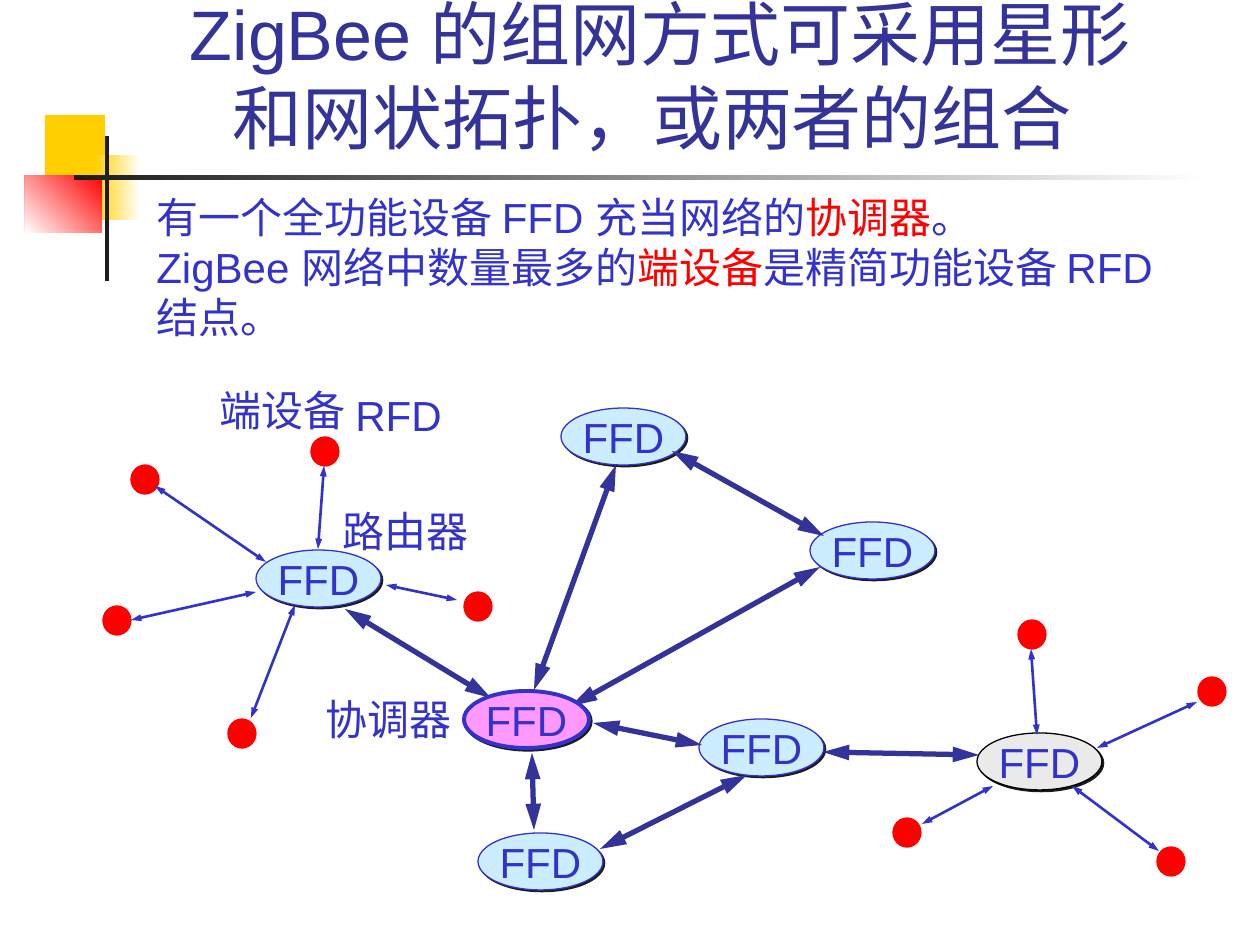
import pptx
import pptx.util
import pptx.dml.color
import pptx.enum.shapes
import pptx.enum.text
import pptx.oxml
import pptx.oxml.ns

EMU_PER_PX = 914400 / 126
SLIDE = (1260, 945)
NODE_SIZE = (125, 57)
DOT_SIZE = (28, 29)

COLORS = {
    "navy": "333399", "blue": "3333CC", "red": "FF0000", "gold": "FFCF01",
    "ink": "1C1C1C", "white": "FFFFFF", "sky": "CCECFF", "pink": "FF99FF",
    "gray": "EAEAEA", "black": "000000",
}

DECOR = [
    ((45, 115, 60, 65), ("gold",), 0),
    ((95, 155, 45, 65), ("white", "gold"), 180),
    ((25, 175, 77, 58), ("red", "white"), 225),
    ((105, 136, 4, 145), ("ink",), 0),
    ((74, 175, 1134, 5), ("white", "ink"), 180),
]

TITLE = [[("ZigBee 的组网方式可采用星形和网状拓扑，或两者的组合 ", "navy", "Arial")]]
BODY = [
    [("有一个全功能设备 FFD 充当", "blue", "Arial"), ("网络的", "blue", "Cabin"),
     ("协调器", "red", "Cabin"), ("。", "blue", "Cabin")],
    [("ZigBee 网络中数量最多的", "blue", "Arial"), ("端设备", "red", "Arial"),
     ("是精简功能设备 RFD 结点。", "blue", "Arial")],
]
LABELS = [
    ("RFD", (343, 383, 116, 63)),
    ("端设备", (207, 378, 155, 63)),
    ("路由器", (330, 499, 155, 63)),
    ("协调器", (313, 687, 155, 63)),
]

DOTS = [(311, 437), (1157, 847), (893, 818), (1198, 677), (1018, 620),
        (131, 465), (103, 606), (228, 719), (464, 592)]
NODES = [
    (256, 550, "sky", "blue", 0.75),
    (478, 833, "sky", "blue", 0.75),
    (810, 522, "sky", "blue", 0.75),
    (561, 408, "sky", "blue", 0.75),
    (977, 733, "gray", "black", 0.75),
    (699, 719, "sky", "blue", 0.75),
]
COORDINATOR = (464, 691, "pink", "blue", 2.25)

MESH_LINKS = [
    (616, 465, 534, 690), (345, 609, 491, 698), (672, 451, 824, 536),
    (820, 567, 571, 706), (532, 753, 534, 830), (702, 745, 593, 723),
    (979, 755, 823, 752), (747, 775, 600, 849),
]
STAR_LINKS = [
    (155, 486, 266, 562), (386, 585, 457, 600), (324, 466, 318, 549),
    (131, 620, 256, 592), (1197, 702, 1097, 748), (1031, 649, 1037, 735),
    (295, 605, 251, 718), (1072, 786, 1159, 851), (993, 786, 922, 824),
]

SHAPES = pptx.enum.shapes.MSO_SHAPE
ALIGN = pptx.enum.text.PP_ALIGN
ANCHOR = pptx.enum.text.MSO_ANCHOR
FIT = pptx.enum.text.MSO_AUTO_SIZE


def px(*values):
    return [pptx.util.Emu(round(v * EMU_PER_PX)) for v in values]


def rgb(name):
    return pptx.dml.color.RGBColor.from_string(COLORS[name])


def write(tf, paragraphs, size, align=ALIGN.LEFT, wrap=True, anchor=ANCHOR.TOP, fit=FIT.NONE):
    tf.word_wrap = wrap
    tf.auto_size = fit
    tf.vertical_anchor = anchor
    for i, runs in enumerate(paragraphs):
        p = tf.add_paragraph() if i else tf.paragraphs[0]
        p.alignment = align
        for text, color, font in runs:
            r = p.add_run()
            r.text = text
            r.font.size = pptx.util.Pt(size)
            r.font.name = font
            r.font.color.rgb = rgb(color)


def add_text(s, box, paragraphs, size, **options):
    sp = s.shapes.add_textbox(*px(*box))
    write(sp.text_frame, paragraphs, size, **options)


def add_solid(s, kind, box, fill, line=None, width=0.75):
    sp = s.shapes.add_shape(kind, *px(*box))
    sp.shadow.inherit = False
    sp.fill.solid()
    sp.fill.fore_color.rgb = rgb(fill)
    if line:
        sp.line.color.rgb = rgb(line)
        sp.line.width = pptx.util.Pt(width)
    else:
        sp.line.fill.background()
    return sp


def add_decor(s, box, fills, angle):
    sp = add_solid(s, SHAPES.RECTANGLE, box, fills[0])
    if len(fills) > 1:
        sp.fill.gradient()
        sp.fill.gradient_angle = angle
        for stop, name in zip(sp.fill.gradient_stops, fills):
            stop.color.rgb = rgb(name)


def add_node(s, x, y, fill, line, width):
    sp = add_solid(s, SHAPES.OVAL, (x, y, *NODE_SIZE), fill, line, width)
    effects = sp._element.spPr.find(pptx.oxml.ns.qn("a:effectLst"))
    effects.append(pptx.oxml.parse_xml(
        f'<a:outerShdw {pptx.oxml.ns.nsdecls("a")} blurRad="0" dist="17780" '
        f'dir="2700000" algn="ctr" rotWithShape="0">'
        f'<a:srgbClr val="{COLORS["ink"]}"/></a:outerShdw>'))
    write(sp.text_frame, [[("FFD", "blue", "Arial")]], 24,
          align=ALIGN.CENTER, wrap=False, anchor=ANCHOR.MIDDLE)


def add_link(s, ends, color, width, head_width, head_length):
    sp = s.shapes.add_connector(pptx.enum.shapes.MSO_CONNECTOR.STRAIGHT, *px(*ends))
    sp.line.color.rgb = rgb(color)
    sp.line.width = pptx.util.Pt(width)
    ns = pptx.oxml.ns.nsdecls("a")
    for tag in ("headEnd", "tailEnd"):
        sp.line._get_or_add_ln().append(pptx.oxml.parse_xml(
            f'<a:{tag} {ns} type="triangle" w="{head_width}" len="{head_length}"/>'))
    sp._element.spPr.append(pptx.oxml.parse_xml(f"<a:effectLst {ns}/>"))


def main():
    prs = pptx.Presentation()
    prs.slide_width, prs.slide_height = px(*SLIDE)
    s = prs.slides.add_slide(prs.slide_layouts[6])
    for item in DECOR:
        add_decor(s, *item)
    add_text(s, (144, 26, 1032, 139), TITLE, 40, align=ALIGN.CENTER, anchor=ANCHOR.BOTTOM)
    for spot in DOTS:
        add_solid(s, SHAPES.OVAL, (*spot, *DOT_SIZE), "red", "red")
    for node in NODES:
        add_node(s, *node)
    for ends in MESH_LINKS:
        add_link(s, ends, "navy", 3, "med", "lg")
    for ends in STAR_LINKS:
        add_link(s, ends, "blue", 1.5, "sm", "med")
    add_node(s, *COORDINATOR)
    for text, box in LABELS:
        add_text(s, box, [[(text, "blue", "Arial")]], 24, wrap=False, fit=FIT.SHAPE_TO_FIT_TEXT)
    add_text(s, (144, 185, 1022, 164), BODY, 24)
    prs.save("out.pptx")


if __name__ == "__main__":
    main()
